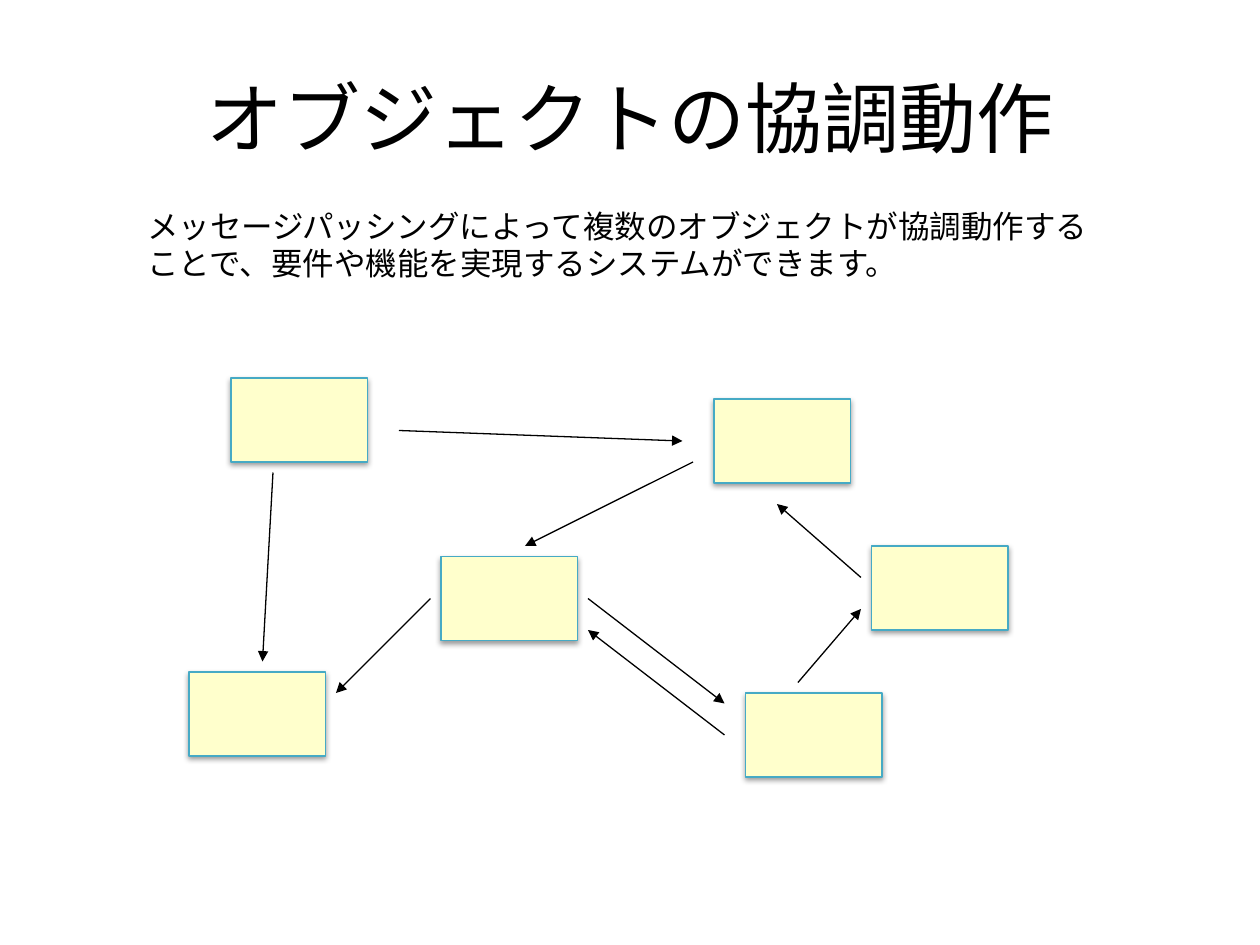
from lxml import etree
from pptx import Presentation, util as u
from pptx.dml.color import RGBColor
from pptx.enum import shapes, text
from pptx.oxml import parse_xml
from pptx.oxml.ns import nsdecls, qn

BLACK = RGBColor(0x00, 0x00, 0x00)
CREAM = RGBColor(0xFF, 0xFF, 0xCC)
TEAL = RGBColor(0x46, 0xAA, 0xC5)

TITLE = "オブジェクトの協調動作"
LEAD = ("メッセージパッシングによって複数のオブジェクトが協調動作する"
        "ことで、要件や機能を実現するシステムができます。")

# The diagram lies on a grid of twelve steps to the inch: (column, row)
OBJECT_SIZE = (13, 8)
OBJECTS = [(22, 36), (18, 64), (42, 53), (68, 38), (71, 66), (83, 52)]
MESSAGES = [
    ((26, 45), (25, 63)),
    ((41, 57), (32, 66)),
    ((56, 57), (69, 67)),
    ((69, 70), (56, 60)),
    ((66, 44), (50, 52)),
    ((38, 41), (65, 42)),
    ((82, 55), (74, 48)),
    ((76, 65), (82, 58)),
]

SHADOW = (f'<a:outerShdw {nsdecls("a")} blurRad="40000" dist="20000" dir="5400000" '
          'rotWithShape="0"><a:srgbClr val="000000"><a:alpha val="38000"/>'
          '</a:srgbClr></a:outerShdw>')


def grid(*steps):
    return [u.Inches(step / 12) for step in steps]


def place(sp, *box):
    sp.left, sp.top, sp.width, sp.height = map(u.Inches, box)


def write(sp, content, size, anchor, align):
    tf = sp.text_frame
    tf.word_wrap = True
    tf.vertical_anchor = anchor
    p = tf.paragraphs[0]
    p.alignment = align
    r = p.add_run()
    r.text = content
    for name, value in {"name": "Calibri", "size": u.Pt(size)}.items():
        setattr(r.font, name, value)
    r.font.color.rgb = BLACK
    return tf


def add_object(s, position):
    sp = s.shapes.add_shape(shapes.MSO_SHAPE.RECTANGLE, *grid(*position, *OBJECT_SIZE))
    sp.fill.solid()
    sp.fill.fore_color.rgb = CREAM
    sp.line.color.rgb = TEAL
    sp.line.width = u.Pt(0.75)
    sp.shadow.inherit = False
    sp._element.spPr.find(qn("a:effectLst")).append(parse_xml(SHADOW))


def add_message(s, start, end):
    arrow = s.shapes.add_connector(shapes.MSO_CONNECTOR.STRAIGHT, *grid(*start, *end))
    arrow.line.color.rgb = BLACK
    arrow.line.width = u.Pt(0.75)
    etree.SubElement(arrow.line._get_or_add_ln(), qn("a:tailEnd"), type="triangle")
    etree.SubElement(arrow._element.spPr, qn("a:effectLst"))


def main():
    prs = Presentation()
    prs.slide_width, prs.slide_height = u.Inches(10), u.Inches(7.5)
    s = prs.slides.add_slide(prs.slide_layouts.get_by_name("Title Only"))

    place(s.shapes.title, 0.5, 0.3, 9, 1.25)
    write(s.shapes.title, TITLE, 44, text.MSO_ANCHOR.MIDDLE, text.PP_ALIGN.CENTER)

    for position in OBJECTS:
        add_object(s, position)
    for start, end in MESSAGES:
        add_message(s, start, end)

    lead = s.shapes.add_textbox(0, 0, 0, 0)
    place(lead, 1.07, 1.59, 7.85, 0.71)
    tf = write(lead, LEAD, 18, text.MSO_ANCHOR.TOP, text.PP_ALIGN.LEFT)
    tf.auto_size = text.MSO_AUTO_SIZE.SHAPE_TO_FIT_TEXT

    prs.save("out.pptx")


if __name__ == "__main__":
    main()
